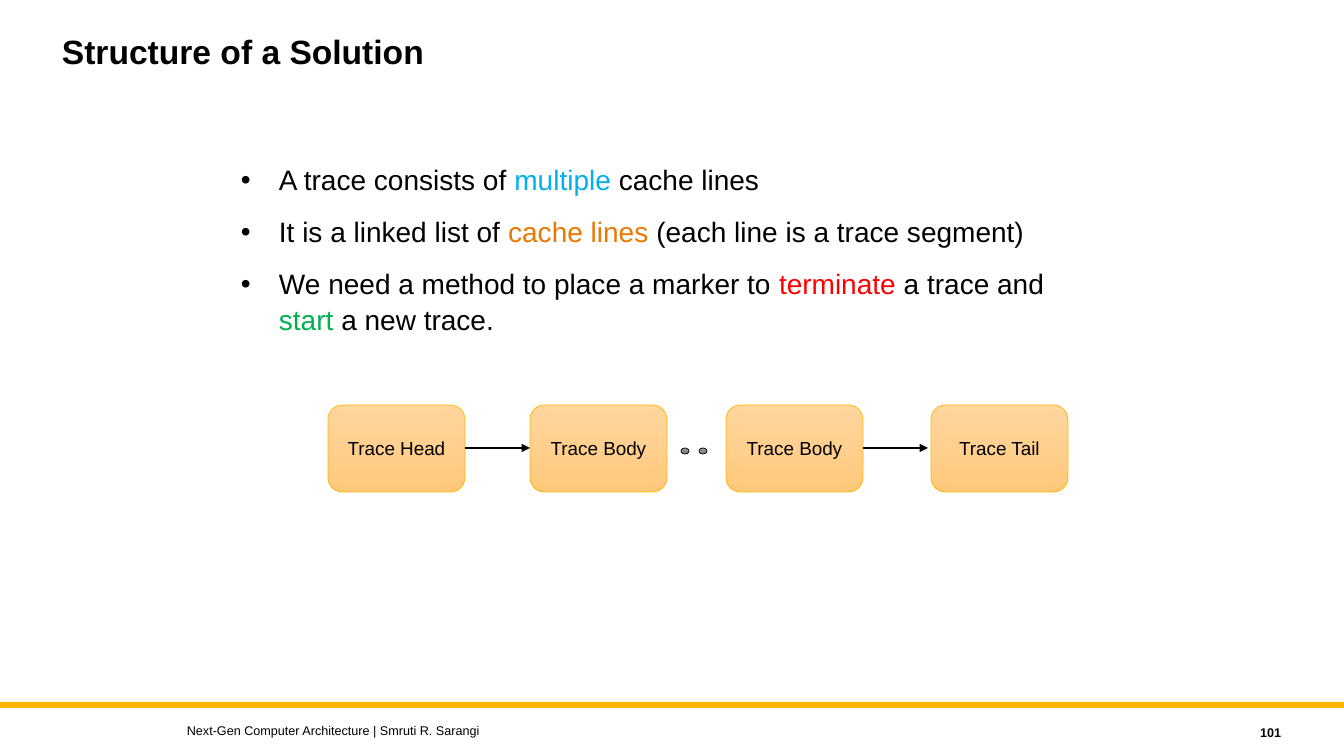
from lxml.etree import SubElement as Sub
from pptx import Presentation
from pptx.dml.color import RGBColor
from pptx.enum.shapes import MSO_CONNECTOR as Conn, MSO_SHAPE as Kind
from pptx.enum.text import MSO_ANCHOR as Anchor, PP_ALIGN as Align
from pptx.oxml.ns import qn
from pptx.util import Emu, Pt

TITLE = "Structure of a Solution"
POINTS = [
    [("A trace consists of ", None), ("multiple", "00B0F0"), (" cache lines", None)],
    [("It is a linked list of ", None), ("cache lines", "EC7700"),
     (" (each line is a trace segment)", None)],
    [("We need a method to place a marker to ", None), ("terminate", "FF0000"),
     (" a trace and ", None), ("start", "00B050"), (" a new trace.", None)],
]
NODES = [("Trace Head", 328), ("Trace Body", 530), ("Trace Body", 726), ("Trace Tail", 931)]
LINKS = [0, 2]
DOTS = [681, 699]
FOOTER = "Next-Gen Computer Architecture | Smruti R. Sarangi"
NUMBER = "101"

BLACK, GOLD = "000000", "FFB600"
PEACH = ("FFD69E", "FFC97C")
GREY = ("9D9D9D", "7C7C7C")
NODE_W, NODE_H, NODE_Y = 137, 87, 405
LINK_W = 65
INDENT = 38


def px(n):
    return Emu(round(n * 914400 / 100.8))


def color(code):
    return RGBColor.from_string(code)


def bullet(para):
    props = para._p.get_or_add_pPr()
    props.set("marL", str(px(INDENT)))
    props.set("indent", str(-px(INDENT)))
    Sub(props, qn("a:buFont"), typeface="Arial")
    Sub(props, qn("a:buChar"), char="•")


def write(shape, paras, size, bold=False, align=Align.LEFT, anchor=Anchor.TOP,
          gap=0, line=None, dots=False):
    frame = shape.text_frame
    frame.word_wrap = True
    frame.vertical_anchor = anchor
    for i, runs in enumerate(paras):
        para = frame.add_paragraph() if i else frame.paragraphs[0]
        para.alignment = align
        if line:
            para.line_spacing = line
        if i and gap:
            para.space_before = Pt(gap)
        if dots:
            bullet(para)
        for text, tint in runs:
            run = para.add_run()
            run.text = text
            font = run.font
            font.name, font.size, font.bold = "Arial", Pt(size), bold
            font.color.rgb = color(tint or BLACK)


def label(x, y, w, h, paras, size, **fmt):
    box = slide.shapes.add_textbox(px(x), px(y), px(w), px(h))
    write(box, paras, size, **fmt)


def draw(kind, x, y, w, h, fill, edge=None):
    shape = slide.shapes.add_shape(kind, px(x), px(y), px(w), px(h))
    shape.shadow.inherit = False
    if isinstance(fill, str):
        shape.fill.solid()
        shape.fill.fore_color.rgb = color(fill)
    else:
        shape.fill.gradient()
        shape.fill.gradient_angle = 270
        for stop, tint in zip(shape.fill.gradient_stops, fill):
            stop.color.rgb = color(tint)
    if edge:
        shape.line.color.rgb = color(edge)
        shape.line.width = Pt(0.5)
    else:
        shape.line.fill.background()
    return shape


def arrow(x, y, w):
    link = slide.shapes.add_connector(Conn.STRAIGHT, px(x), px(y), px(x + w), px(y))
    link.line.color.rgb = color(BLACK)
    link.line.width = Pt(1.5)
    Sub(link.line._get_or_add_ln(), qn("a:tailEnd"), type="triangle")
    Sub(link._element.spPr, qn("a:effectLst"))


deck = Presentation()
deck.slide_width, deck.slide_height = px(1344), px(756)
slide = deck.slides.add_slide(deck.slide_layouts[6])

draw(Kind.RECTANGLE, 0, 702, 1344, 6, GOLD)
label(52, 30, 1008, 91, [[(TITLE, None)]], 24, bold=True, line=0.9)
label(231, 156, 869, 192, POINTS, 20, gap=12, line=1.05, dots=True)

for name, x in NODES:
    node = draw(Kind.ROUNDED_RECTANGLE, x, NODE_Y, NODE_W, NODE_H, PEACH, GOLD)
    write(node, [[(name, None)]], 13.5, align=Align.CENTER, anchor=Anchor.MIDDLE)
for i in LINKS:
    arrow(NODES[i][1] + NODE_W, NODE_Y + NODE_H // 2, LINK_W)
for x in DOTS:
    draw(Kind.OVAL, x, 448, 8, 6, GREY, BLACK)

label(177, 718, 806, 25, [[(FOOTER, None)]], 9, anchor=Anchor.MIDDLE)
label(1150, 720, 141, 25, [[(NUMBER, None)]], 9, bold=True,
      align=Align.RIGHT, anchor=Anchor.MIDDLE)

deck.save("out.pptx")
